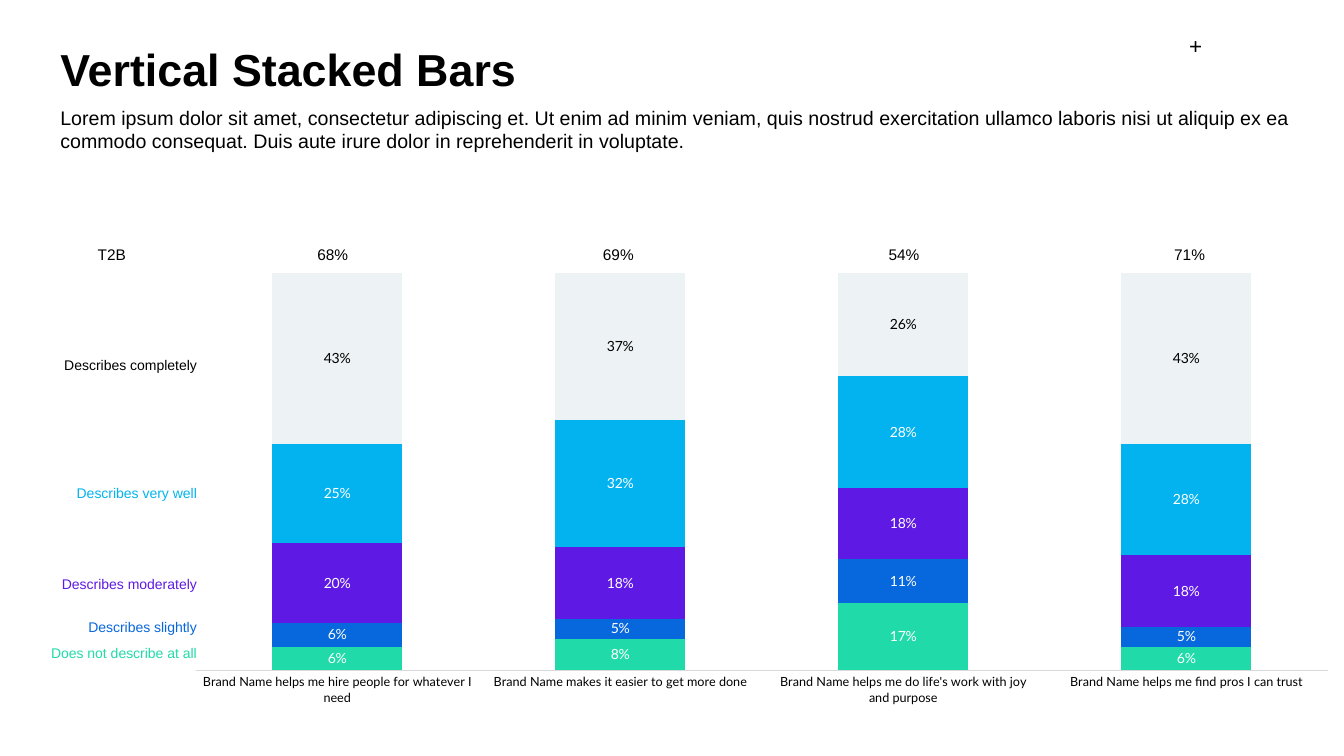
from dataclasses import dataclass

from lxml.etree import SubElement
from pptx import Presentation
from pptx.chart.data import CategoryChartData
from pptx.dml.color import RGBColor
from pptx.enum.chart import XL_CHART_TYPE, XL_LABEL_POSITION, XL_TICK_MARK
from pptx.enum.text import MSO_ANCHOR, MSO_AUTO_SIZE, PP_ALIGN
from pptx.oxml.ns import qn
from pptx.util import Pt

COLOURS = {
    "black": "000000",
    "white": "FFFFFF",
    "axis": "D9D9D9",
    "green": "20DBA9",
    "blue": "0767DC",
    "purple": "5F19E4",
    "sky": "03B3F0",
    "pale": "EDF2F4",
}


@dataclass(frozen=True)
class Rating:
    """One answer level: a chart series and the label beside the first bar."""
    label: str
    label_top: float
    fill: str
    label_colour: str
    value_colour: str
    values: tuple[float, ...]


@dataclass(frozen=True)
class TextItem:
    text: str
    left: float
    top: float
    width: float
    height: float
    size: float
    colour: str = "black"
    bold: bool = False
    alignment: PP_ALIGN = PP_ALIGN.LEFT
    anchor: MSO_ANCHOR = MSO_ANCHOR.TOP
    line_spacing: float = 1.0
    auto_size: MSO_AUTO_SIZE = MSO_AUTO_SIZE.SHAPE_TO_FIT_TEXT


STATEMENTS = (
    "Brand Name helps me hire people for whatever I need",
    "Brand Name makes it easier to get more done",
    "Brand Name helps me do life's work with joy and purpose",
    "Brand Name helps me find pros I can trust",
)
RATINGS = (
    Rating("Does not describe at all", 456.5, "green", "green", "white", (0.06, 0.08, 0.17, 0.06)),
    Rating("Describes slightly", 438.5, "blue", "blue", "white", (0.06, 0.05, 0.11, 0.05)),
    Rating("Describes moderately", 407.5, "purple", "purple", "white", (0.2, 0.18, 0.18, 0.18)),
    Rating("Describes very well", 342.7, "sky", "sky", "white", (0.25, 0.32, 0.28, 0.28)),
    Rating("Describes completely", 251.3, "pale", "black", "black", (0.43, 0.37, 0.26, 0.43)),
)
TOP_TWO_BOX = ("68%", "69%", "54%", "71%")
TOTAL_LEFT, TOTAL_STEP = 188, 204
PLOT_LAYOUT = {"x": 0.02, "y": 0.02, "w": 0.96, "h": 0.88}

HEADINGS = (
    TextItem("+", 841, 19.5, 26, 26.5, 16, alignment=PP_ALIGN.CENTER, anchor=MSO_ANCHOR.MIDDLE),
    TextItem("Vertical Stacked Bars", 36, 12.2, 828, 77.8, 32, bold=True,
             anchor=MSO_ANCHOR.MIDDLE, line_spacing=0.9, auto_size=MSO_AUTO_SIZE.NONE),
    TextItem("Lorem ipsum dolor sit amet, consectetur adipiscing et. Ut enim ad minim veniam, "
             "quis nostrud exercitation ullamco laboris nisi ut aliquip ex ea commodo consequat. "
             "Duis aute irure dolor in reprehenderit in voluptate.", 36, 72, 917, 41, 14),
)


def colour(name: str) -> RGBColor:
    return RGBColor.from_string(COLOURS[name])


def set_attributes(target, values: dict) -> None:
    for name, value in values.items():
        setattr(target, name, value)


def format_font(font, name: str, size: float, colour_name: str, bold: bool = False) -> None:
    set_attributes(font, {"name": name, "size": Pt(size), "bold": bold})
    font.color.rgb = colour(colour_name)


def add_text(shapes, item: TextItem) -> None:
    shape = shapes.add_textbox(Pt(item.left), Pt(item.top), Pt(item.width), Pt(item.height))
    frame = shape.text_frame
    set_attributes(frame, {
        "word_wrap": True,
        "auto_size": item.auto_size,
        "vertical_anchor": item.anchor,
    })
    paragraph = frame.paragraphs[0]
    set_attributes(paragraph, {"alignment": item.alignment, "line_spacing": item.line_spacing})
    run = paragraph.add_run()
    run.text = item.text
    format_font(run.font, "Arial", item.size, item.colour, item.bold)


def fix_plot_area(chart) -> None:
    """Pin the inner plot area to fractions of the chart frame."""
    plot_area = chart.plots[0]._element.getparent()
    layout = plot_area.find(qn("c:layout"))
    if layout is None:
        layout = SubElement(plot_area, qn("c:layout"))
        plot_area.insert(0, layout)
    manual = SubElement(layout, qn("c:manualLayout"))
    settings = {"layoutTarget": "inner", "xMode": "edge", "yMode": "edge", **PLOT_LAYOUT}
    for name, value in settings.items():
        SubElement(manual, qn(f"c:{name}")).set("val", str(value))


def add_ratings_chart(shapes) -> None:
    data = CategoryChartData(number_format="0%")
    data.categories = STATEMENTS
    for number, rating in enumerate(RATINGS, start=1):
        data.add_series(f"Series {number}", rating.values)
    chart = shapes.add_chart(XL_CHART_TYPE.COLUMN_STACKED_100, Pt(123), Pt(188.6),
                             Pt(842.4), Pt(322.6), data).chart
    set_attributes(chart, {"has_legend": False, "has_title": False})
    format_font(chart.font, "Arial", 10, "black")
    fix_plot_area(chart)

    plot = chart.plots[0]
    set_attributes(plot, {"gap_width": 118, "overlap": 100, "vary_by_categories": False})
    for series, rating in zip(plot.series, RATINGS):
        series.format.fill.solid()
        series.format.fill.fore_color.rgb = colour(rating.fill)
        labels = series.data_labels
        set_attributes(labels, {
            "show_value": True,
            "position": XL_LABEL_POSITION.CENTER,
            "number_format": "0%",
            "number_format_is_linked": False,
        })
        format_font(labels.font, "Lato", 10, rating.value_colour)

    set_attributes(chart.value_axis, {
        "visible": False,
        "has_major_gridlines": False,
        "minimum_scale": 0,
        "maximum_scale": 1,
    })
    axis = chart.category_axis
    set_attributes(axis, {"major_tick_mark": XL_TICK_MARK.NONE,
                          "minor_tick_mark": XL_TICK_MARK.NONE})
    format_font(axis.tick_labels.font, "Lato", 9, "black")
    axis.format.line.width = Pt(0.75)
    axis.format.line.color.rgb = colour("axis")


def add_rating_labels(shapes) -> None:
    group = shapes.add_group_shape()
    for rating in RATINGS:
        add_text(group.shapes, TextItem(rating.label, 23.8, rating.label_top, 123.8, 19.4, 10,
                                        rating.label_colour, alignment=PP_ALIGN.RIGHT))


def add_totals(shapes) -> None:
    """Add the row of top-two-box totals above the bars."""
    group = shapes.add_group_shape()
    lefts = [30.2] + [TOTAL_LEFT + TOTAL_STEP * index for index in range(len(TOP_TWO_BOX))]
    for text, left in zip(("T2B", *TOP_TWO_BOX), lefts):
        add_text(group.shapes, TextItem(text, left, 171.4, 99.4, 20.9, 11,
                                        alignment=PP_ALIGN.CENTER))


def main() -> None:
    presentation = Presentation()
    set_attributes(presentation, {"slide_width": Pt(960), "slide_height": Pt(540)})
    slide = presentation.slides.add_slide(presentation.slide_layouts[6])
    add_ratings_chart(slide.shapes)
    add_rating_labels(slide.shapes)
    add_totals(slide.shapes)
    for heading in HEADINGS:
        add_text(slide.shapes, heading)
    presentation.save("out.pptx")


if __name__ == "__main__":
    main()
